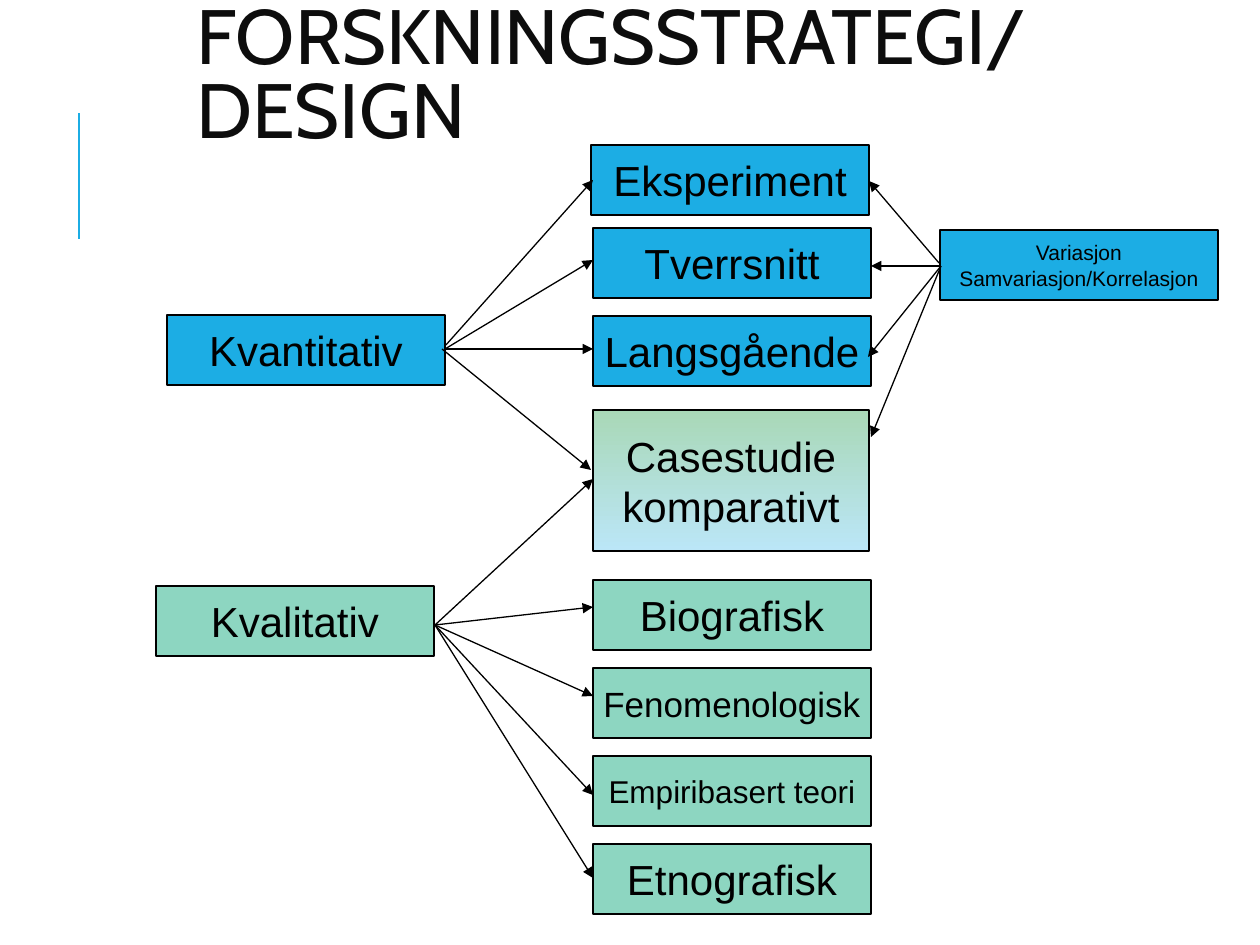
"""Build a slide that maps research strategies to their study designs."""
from lxml import etree
from pptx import Presentation
from pptx.dml.color import RGBColor
from pptx.enum.shapes import MSO_CONNECTOR, MSO_SHAPE
from pptx.enum.text import MSO_ANCHOR, PP_ALIGN
from pptx.oxml.ns import qn
from pptx.util import Pt

STRAIGHT = MSO_CONNECTOR.STRAIGHT
RECTANGLE = MSO_SHAPE.RECTANGLE
MIDDLE = MSO_ANCHOR.MIDDLE
CENTER = PP_ALIGN.CENTER

BLUE = RGBColor(0x1C, 0xAD, 0xE4)
GREEN = RGBColor(0x8D, 0xD6, 0xC1)
PALE_GREEN = RGBColor(0xA9, 0xD8, 0xB7)
PALE_BLUE = RGBColor(0xBB, 0xE6, 0xF7)
BLACK = RGBColor(0, 0, 0)
TITLE_COLOR = RGBColor(0x0D, 0x0D, 0x0D)

EMU_PER_PX = 914400 / 126
BOX_WIDTH, BOX_HEIGHT = 278, 70
DESIGN_LEFT = 593
QUALITATIVE_TOP, QUALITATIVE_PITCH = 580, 88

TITLE = "FORSKNINGSSTRATEGI/DESIGN"
# (lines, left, top, fill, text size)
BOXES = [
    (["Kvalitativ"], 156, 586, GREEN, 24),
    (["Kvantitativ"], 167, 315, BLUE, 24),
    (["Eksperiment"], 591, 145, BLUE, 24),
    (["Tverrsnitt"], DESIGN_LEFT, 228, BLUE, 24),
    (["Langsgående"], DESIGN_LEFT, 316, BLUE, 24),
    (["Variasjon", "Samvariasjon/Korrelasjon"], 940, 230, BLUE, 12),
]
QUALITATIVE_DESIGNS = [
    ("Biografisk", 24),
    ("Fenomenologisk", 20),
    ("Empiribasert teori", 18),
    ("Etnografisk", 24),
]
CASE_STUDY = ["Casestudie", "komparativt"]
ARROW_FANS = [
    ((446, 345), [(593, 180)]),
    ((445, 349), [(593, 260), (593, 349)]),
    ((442, 349), [(591, 470)]),
    ((435, 625), [(593, 479), (593, 607), (593, 696), (593, 795), (593, 878)]),
    ((941, 266), [(871, 266), (868, 357), (871, 437)]),
    ((939, 263), [(869, 181)]),
]


def px(*lengths):
    return [round(length * EMU_PER_PX) for length in lengths]


def add_text(para, text, font_name, size, color):
    span = para.add_run()
    span.text = text
    span.font.name = font_name
    span.font.size = Pt(size)
    span.font.color.rgb = color


def add_box(page, lines, left, top, size, height=BOX_HEIGHT, width=BOX_WIDTH):
    box = page.shapes.add_shape(RECTANGLE, *px(left, top, width, height))
    box.shadow.inherit = False
    box.line.color.rgb = BLACK
    box.line.width = Pt(0.75)
    frame = box.text_frame
    frame.word_wrap = False
    frame.vertical_anchor = MIDDLE
    for index, line in enumerate(lines):
        para = frame.add_paragraph() if index else frame.paragraphs[0]
        para.alignment = CENTER
        add_text(para, line, "Arial", size, BLACK)
    return box


def add_solid_box(page, lines, left, top, fill, size):
    box = add_box(page, lines, left, top, size)
    box.fill.solid()
    box.fill.fore_color.rgb = fill


def add_line(page, start, end, color, width):
    line = page.shapes.add_connector(STRAIGHT, *px(*start, *end))
    line.line.color.rgb = color
    line.line.width = Pt(width)
    etree.SubElement(line._element.spPr, qn("a:effectLst"))
    return line


def add_arrow(page, start, end):
    arrow = add_line(page, start, end, BLACK, 0.75)
    etree.SubElement(arrow.line._get_or_add_ln(), qn("a:tailEnd"), type="triangle")


def add_title(page):
    box = page.shapes.add_textbox(*px(184, 0, 1008, 158))
    frame = box.text_frame
    frame.word_wrap = True
    frame.vertical_anchor = MIDDLE
    para = frame.paragraphs[0]
    para.line_spacing = 0.8
    add_text(para, TITLE, "Cabin", 44, TITLE_COLOR)


def add_case_study(page):
    box = add_box(page, CASE_STUDY, DESIGN_LEFT, 410, 24, height=141, width=276)
    box.fill.gradient()
    box.fill.gradient_angle = 270
    for stop, color in zip(box.fill.gradient_stops, (PALE_GREEN, PALE_BLUE)):
        stop.color.rgb = color


def main():
    deck = Presentation()
    deck.slide_width, deck.slide_height = px(1260, 945)
    page = deck.slides.add_slide(deck.slide_layouts[6])
    add_line(page, (79, 239), (79, 113), BLUE, 1.5)
    add_title(page)
    for box in BOXES:
        add_solid_box(page, *box)
    add_case_study(page)
    for row, (name, size) in enumerate(QUALITATIVE_DESIGNS):
        top = QUALITATIVE_TOP + row * QUALITATIVE_PITCH
        add_solid_box(page, [name], DESIGN_LEFT, top, GREEN, size)
    for start, ends in ARROW_FANS:
        for end in ends:
            add_arrow(page, start, end)
    deck.save("out.pptx")


if __name__ == "__main__":
    main()
